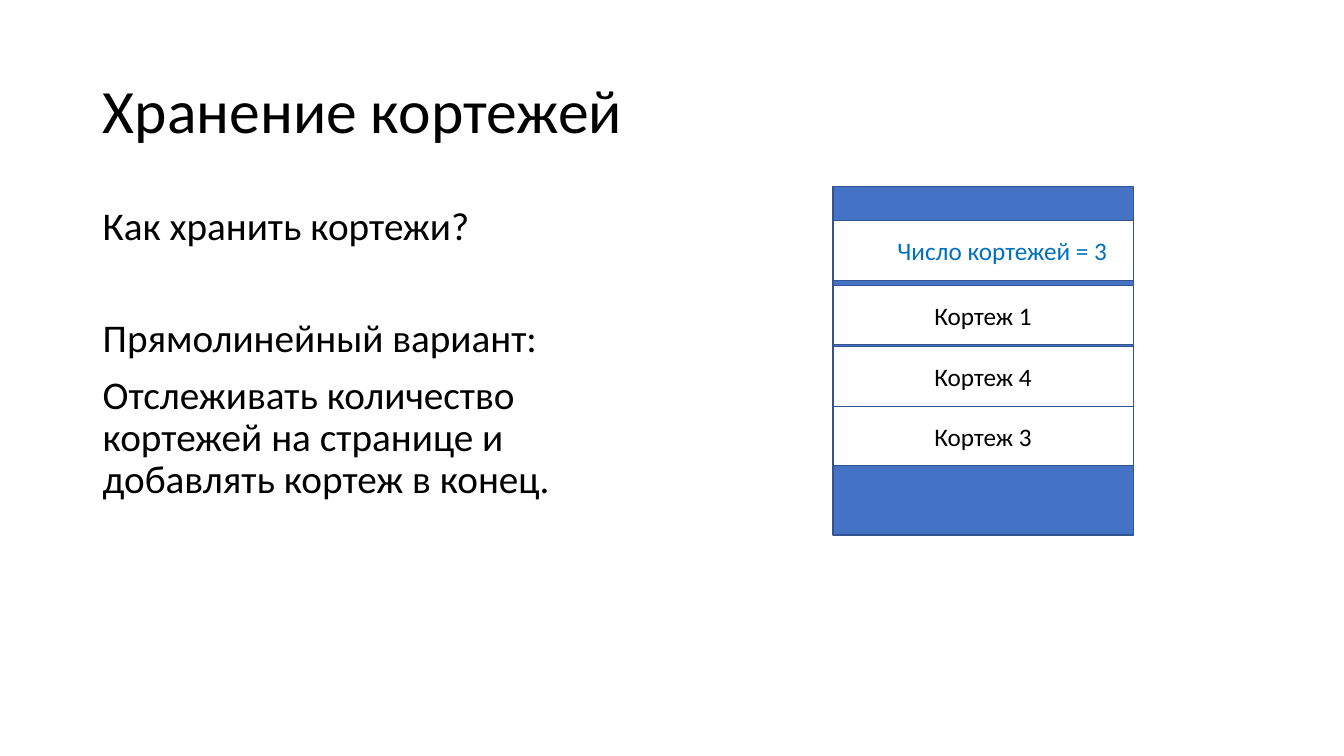
from pptx import Presentation
from pptx import util as u
from pptx.dml.color import RGBColor
from pptx.enum import shapes, text

COLORS = {"ink": "000000", "page": "4472C4", "edge": "325491",
          "record": "FFFFFF", "counter": "0070C0"}
FONT = "Calibri"
MARGIN = 0.92
PAGE_LEFT, PAGE_TOP, PAGE_WIDTH, PAGE_HEIGHT = 8.26, 1.85, 2.98, 3.46
ROW_HEIGHT = 0.59


def write(paragraph, words, size, color="ink", align=text.PP_ALIGN.LEFT,
          spacing=1.0, before=0):
    paragraph.alignment = align
    paragraph.line_spacing = spacing
    paragraph.space_before = u.Pt(before)
    run = paragraph.add_run()
    run.text = words
    run.font.name = FONT
    run.font.size = u.Pt(size)
    run.font.color.rgb = RGBColor.from_string(COLORS[color])


def add_band(top, height, fill):
    band = slide.shapes.add_shape(
        shapes.MSO_SHAPE.RECTANGLE, u.Inches(PAGE_LEFT), u.Inches(top),
        u.Inches(PAGE_WIDTH), u.Inches(height))
    band.shadow.inherit = False
    band.fill.solid()
    band.fill.fore_color.rgb = RGBColor.from_string(COLORS[fill])
    band.line.color.rgb = RGBColor.from_string(COLORS["edge"])
    band.line.width = u.Pt(1)
    return band


prs = Presentation()
prs.slide_width, prs.slide_height = u.Inches(13.33), u.Inches(7.5)
slide = prs.slides.add_slide(prs.slide_layouts[5])

# Title
title = slide.shapes.title
title.left, title.top = u.Inches(MARGIN), u.Inches(0.4)
title.width, title.height = u.Inches(11.5), u.Inches(1.45)
title.text_frame.vertical_anchor = text.MSO_ANCHOR.MIDDLE
write(title.text_frame.paragraphs[0], "Хранение кортежей", 44, spacing=0.9)

# Question and answer
answer = slide.shapes.add_textbox(
    u.Inches(MARGIN), u.Inches(2), u.Inches(5.08), u.Inches(4.76)).text_frame
answer.word_wrap = True
statements = [
    ("Как хранить кортежи?", 10),
    ("Прямолинейный вариант:", 50),
    ("Отслеживать количество кортежей на странице и добавлять кортеж в конец.", 10),
]
for i, (statement, gap) in enumerate(statements):
    paragraph = answer.add_paragraph() if i else answer.paragraphs[0]
    write(paragraph, statement, 28, spacing=0.9, before=gap)

# Storage page with its counter and records
add_band(PAGE_TOP, PAGE_HEIGHT, "page")
rows = [
    ("Число кортежей = 3", 2.19, "counter", 0.48),
    ("Кортеж 1", 2.83, "ink", 0.1),
    ("Кортеж 4", 3.44, "ink", 0.1),
    ("Кортеж 3", 3.44 + ROW_HEIGHT, "ink", 0.1),
]
for label, top, color, inset in rows:
    frame = add_band(top, ROW_HEIGHT, "record").text_frame
    frame.word_wrap = True
    frame.vertical_anchor = text.MSO_ANCHOR.MIDDLE
    frame.margin_left = u.Inches(inset)
    write(frame.paragraphs[0], label, 18, color, text.PP_ALIGN.CENTER)

prs.save("out.pptx")
